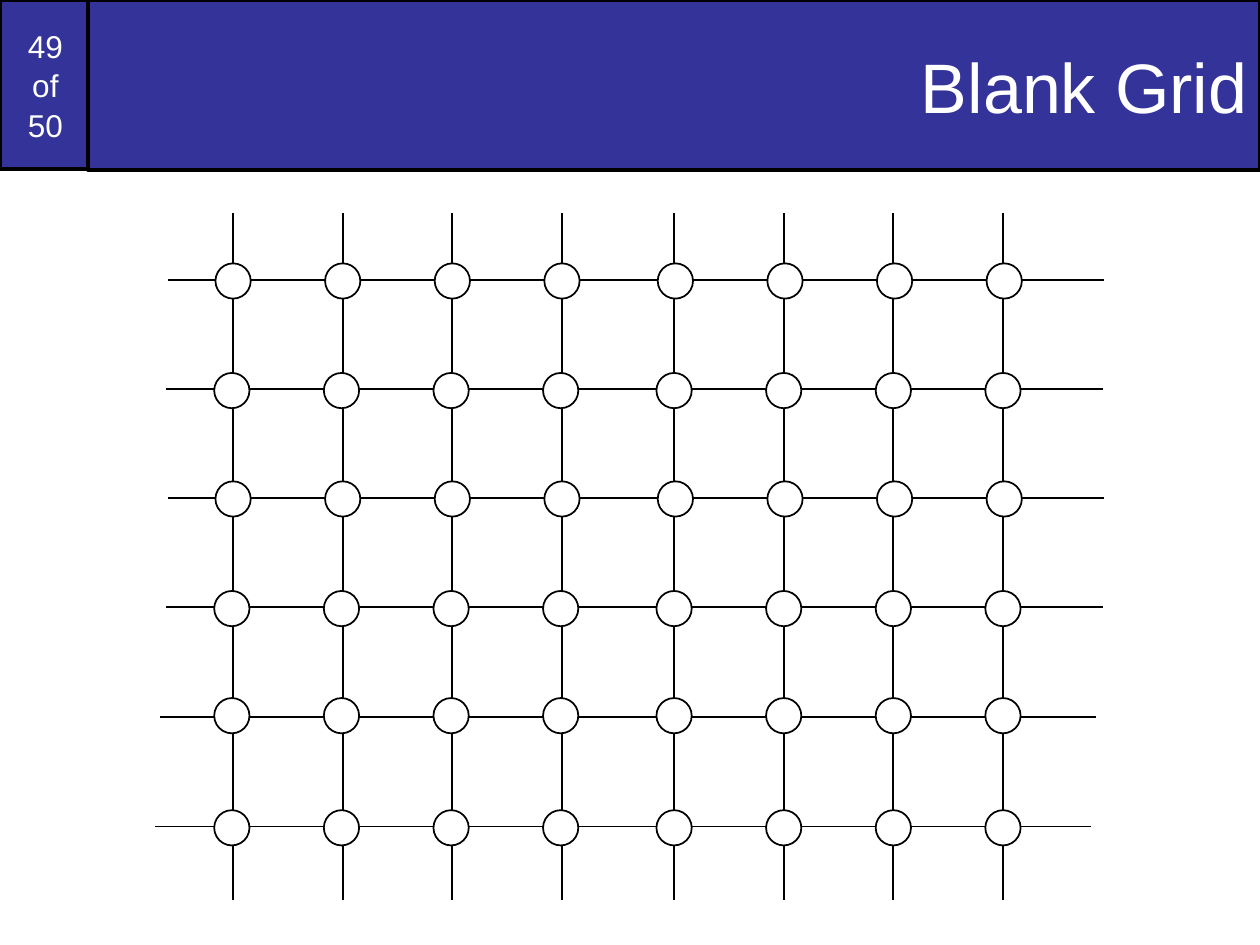
from dataclasses import dataclass

from lxml import etree
from pptx import Presentation
from pptx import util as u
from pptx.dml.color import RGBColor
from pptx.enum import shapes, text
from pptx.oxml import ns

INK, BLUE, WHITE = "000000", "333399", "FFFFFF"
STEP = 0.87
SPAN = 7.43
SIZE = 0.28
TOP, BASE = 1.69, 7.14


@dataclass
class Row:
    y: float
    start: float
    left: float
    top: float


@dataclass
class Label:
    words: str
    size: float
    align: text.PP_ALIGN
    space: float


ROWS = [
    Row(2.22, 1.33, 1.71, 2.09),
    Row(3.09, 1.32, 1.70, 2.96),
    Row(3.95, 1.33, 1.71, 3.82),
    Row(4.82, 1.32, 1.70, 4.69),
    Row(5.69, 1.27, 1.70, 5.54),
    Row(6.56, 1.23, 1.70, 6.43),
]


def tint(code: str) -> RGBColor:
    return RGBColor.from_string(code)


def assign(item, values: dict) -> None:
    for name, value in values.items():
        setattr(item, name, value)


def paint(shape, fill: str, width: float) -> None:
    shape.fill.solid()
    shape.fill.fore_color.rgb = tint(fill)
    shape.line.color.rgb = tint(INK)
    shape.line.width = u.Pt(width)


def write(shape, label: Label) -> None:
    frame = shape.text_frame
    assign(frame, {
        "word_wrap": True,
        "auto_size": text.MSO_AUTO_SIZE.NONE,
        "vertical_anchor": text.MSO_ANCHOR.MIDDLE,
        "margin_left": u.Inches(0.1),
        "margin_right": u.Inches(0.1),
        "margin_top": u.Inches(0.05),
        "margin_bottom": u.Inches(0.05),
    })
    para = frame.paragraphs[0]
    para.text = label.words
    assign(para, {"alignment": label.align, "line_spacing": label.space})
    for run in para.runs:
        assign(run.font, {"name": "Arial", "size": u.Pt(label.size)})
        run.font.color.rgb = tint(WHITE)


def shape(slide, kind, left: float, top: float, wide: float, high: float):
    item = slide.shapes.add_shape(kind, *map(u.Inches, (left, top, wide, high)))
    item.shadow.inherit = False
    return item


def line(slide, x1: float, y1: float, x2: float, y2: float) -> None:
    item = slide.shapes.add_connector(
        shapes.MSO_CONNECTOR.STRAIGHT, *map(u.Inches, (x1, y1, x2, y2)))
    item.line.color.rgb = tint(INK)
    item.line.width = u.Pt(1)
    etree.SubElement(item._element.spPr, ns.qn("a:effectLst"))


def columns(left: float, right: float) -> list[float]:
    return [start + STEP * i for start in (left, right) for i in range(4)]


def header(slide) -> None:
    page = shape(slide, shapes.MSO_SHAPE.RECTANGLE, 0, 0, 0.72, 1.34)
    paint(page, BLUE, 2)
    write(page, Label("49\vof\v50", 18, text.PP_ALIGN.CENTER, 1.05))
    title = slide.shapes.title
    assign(title, {"left": u.Inches(0.7), "top": 0,
                   "width": u.Inches(9.3), "height": u.Inches(1.35)})
    paint(title, BLUE, 2)
    write(title, Label("Blank Grid", 40, text.PP_ALIGN.RIGHT, 1.0))
    page._element.addnext(title._element)


def grid(slide) -> None:
    for row in ROWS:
        line(slide, row.start + SPAN, row.y, row.start, row.y)
    for x in columns(1.85, 5.35):
        line(slide, x, TOP, x, BASE)
    for row in ROWS:
        for x in columns(row.left, row.left + 3.51):
            node = shape(slide, shapes.MSO_SHAPE.OVAL, x, row.top, SIZE, SIZE)
            paint(node, WHITE, 1)


def main() -> None:
    deck = Presentation()
    deck.slide_width, deck.slide_height = u.Inches(10), u.Inches(7.5)
    slide = deck.slides.add_slide(deck.slide_layouts[5])
    header(slide)
    grid(slide)
    deck.save("out.pptx")


if __name__ == "__main__":
    main()
